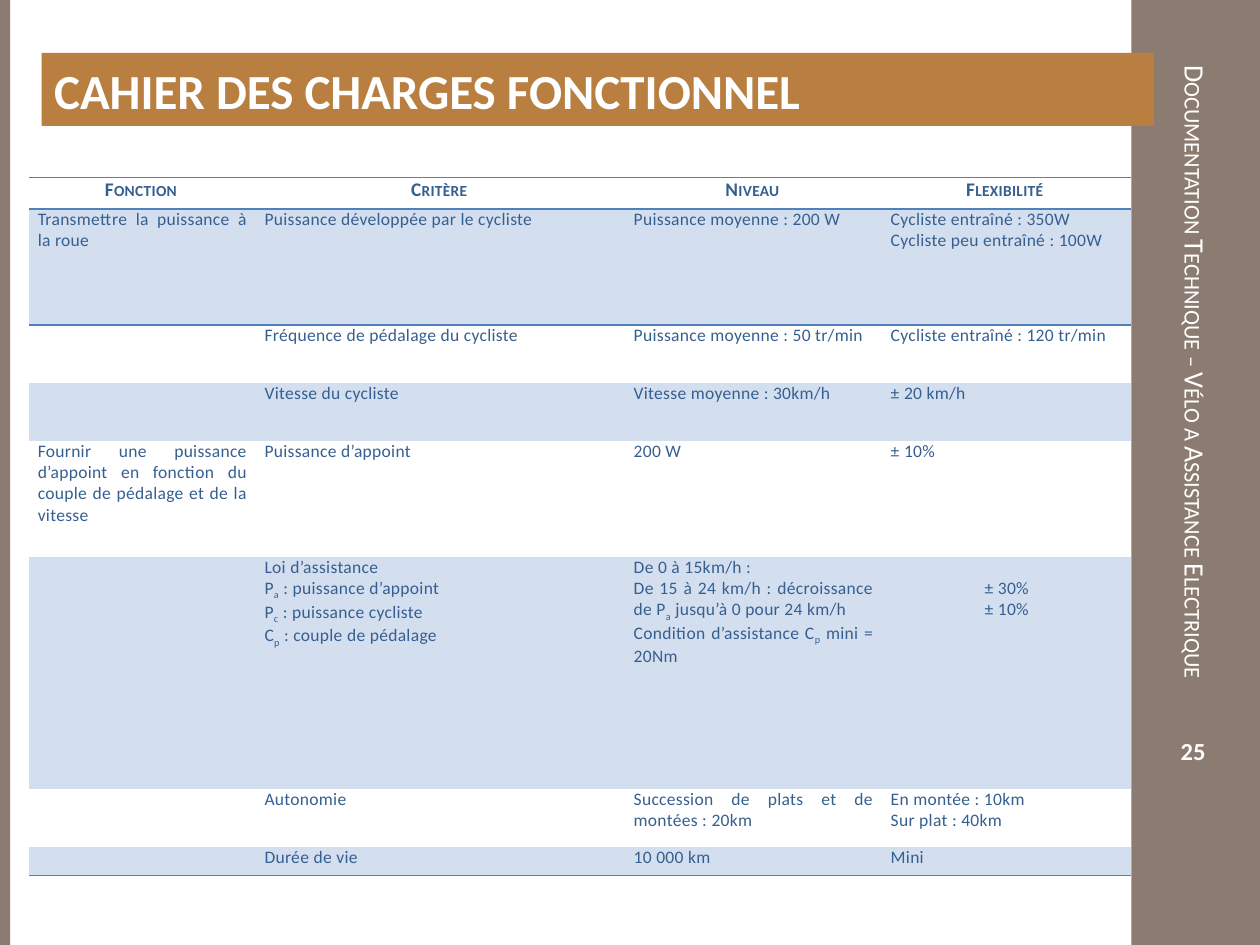
from dataclasses import dataclass

from lxml.etree import SubElement
from pptx import Presentation
from pptx.dml.color import RGBColor
from pptx.enum.shapes import MSO_SHAPE
from pptx.enum.text import MSO_ANCHOR, MSO_AUTO_SIZE, PP_ALIGN
from pptx.oxml import parse_xml
from pptx.oxml.ns import nsdecls, qn
from pptx.slide import Slide
from pptx.table import _Cell
from pptx.text.text import TextFrame, _Paragraph
from pptx.util import Inches, Pt

WHITE = RGBColor(0xFF, 0xFF, 0xFF)
TAUPE = RGBColor(0x8C, 0x7B, 0x70)
OCHRE = RGBColor(0xB8, 0x7F, 0x40)
NAVY = RGBColor(0x36, 0x5F, 0x91)
PALE_BLUE = RGBColor(0xD3, 0xDF, 0xEE)
RULE_BLUE = RGBColor(0x4F, 0x81, 0xBD)

FONT = "Calibri"
WIDTH, HEIGHT = 10, 7.5
BAND_LEFT = 8.98
ROW_UNIT = 0.23
HEADER_HEIGHT = 0.25
LINE_HEIGHT = 0.17
COLUMN_WIDTHS = (1.8, 2.93, 2.04, 1.98)
PLAIN_TABLE_STYLE = "{2D5ABB26-0587-4C30-8999-92F81FD0307C}"


@dataclass(frozen=True)
class Box:
    left: float
    top: float
    width: float
    height: float

    def emu(self) -> tuple[int, ...]:
        return tuple(Inches(n) for n in (self.left, self.top, self.width, self.height))


@dataclass(frozen=True)
class TextStyle:
    size: float
    color: RGBColor
    bold: bool = False
    small_caps: bool = False
    spacing: float = 0
    align: PP_ALIGN = PP_ALIGN.LEFT


@dataclass(frozen=True)
class CellText:
    """Lines of a cell; text between underscores is set as a subscript."""
    lines: tuple[str, ...] = ()
    align: PP_ALIGN = PP_ALIGN.JUSTIFY
    skipped_lines: int = 0


@dataclass(frozen=True)
class Requirement:
    units: int
    cells: tuple[CellText, ...]


def lines(*texts: str) -> CellText:
    return CellText(texts)


EMPTY = CellText()
HEADINGS = ("Fonction", "Critère", "Niveau", "Flexibilité")
REQUIREMENTS = (
    Requirement(4, (
        lines("Transmettre la puissance à la roue"),
        lines("Puissance développée par le cycliste"),
        lines("Puissance moyenne : 200 W"),
        lines("Cycliste entraîné : 350W", "Cycliste peu entraîné : 100W"))),
    Requirement(2, (
        EMPTY,
        lines("Fréquence de pédalage du cycliste"),
        lines("Puissance moyenne : 50 tr/min"),
        lines("Cycliste entraîné : 120 tr/min"))),
    Requirement(2, (
        EMPTY,
        lines("Vitesse du cycliste"),
        lines("Vitesse moyenne : 30km/h"),
        lines("± 20 km/h"))),
    Requirement(4, (
        lines("Fournir une puissance d’appoint en fonction du couple de pédalage "
              "et de la vitesse"),
        lines("Puissance d’appoint"),
        lines("200 W"),
        lines("± 10%"))),
    Requirement(8, (
        EMPTY,
        lines("Loi d’assistance", "P_a_ : puissance d’appoint",
              "P_c_ : puissance cycliste", "C_p_ : couple de pédalage"),
        lines("De 0 à 15km/h :",
              "De 15 à 24 km/h : décroissance de P_a_ jusqu’à 0 pour 24 km/h",
              "Condition d’assistance C_p_ mini = 20Nm"),
        CellText(("± 30%", "± 10%"), PP_ALIGN.CENTER, skipped_lines=1))),
    Requirement(2, (
        EMPTY,
        lines("Autonomie"),
        lines("Succession de plats et de montées : 20km"),
        lines("En montée : 10km", "Sur plat : 40km"))),
    Requirement(1, (
        EMPTY,
        lines("Durée de vie"),
        lines("10 000 km"),
        lines("Mini"))),
)


def write_paragraph(para: _Paragraph, text: str, style: TextStyle) -> None:
    for index, part in enumerate(text.split("_")):
        span = para.add_run()
        span.text = part
        if index % 2:
            span._r.get_or_add_rPr().set("baseline", "-25000")
    para.alignment = style.align
    font = para.font
    font.name, font.size, font.bold = FONT, Pt(style.size), style.bold
    font.color.rgb = style.color
    if style.small_caps:
        font._element.set("cap", "small")
    if style.spacing:
        font._element.set("spc", str(round(style.spacing * 100)))


def write_lines(frame: TextFrame, texts: tuple[str, ...], style: TextStyle) -> None:
    for index, text in enumerate(texts):
        para = frame.add_paragraph() if index else frame.paragraphs[0]
        write_paragraph(para, text, style)


def add_band(page: Slide, box: Box) -> None:
    band = page.shapes.add_shape(MSO_SHAPE.RECTANGLE, *box.emu())
    band.shadow.inherit = False
    band.fill.solid()
    band.fill.fore_color.rgb = TAUPE
    band.line.fill.background()


def add_label(page: Slide, box: Box, text: str, style: TextStyle,
              vertical: bool = False) -> None:
    frame = page.shapes.add_textbox(*box.emu()).text_frame
    frame.word_wrap = True
    frame.vertical_anchor = MSO_ANCHOR.MIDDLE
    if vertical:
        frame._txBody.bodyPr.set("vert", "vert")
    write_paragraph(frame.paragraphs[0], text, style)


def set_title(page: Slide, box: Box, text: str, style: TextStyle) -> None:
    title = page.shapes.title
    title.left, title.top, title.width, title.height = box.emu()
    title.fill.solid()
    title.fill.fore_color.rgb = OCHRE
    frame = title.text_frame
    frame.word_wrap = True
    frame.auto_size = MSO_AUTO_SIZE.NONE
    frame.vertical_anchor = MSO_ANCHOR.MIDDLE
    write_paragraph(frame.paragraphs[0], text, style)
    page.shapes._spTree.append(title._element)  # in front of the side band


def add_rule(cell: _Cell, tag: str) -> None:
    cell._tc.get_or_add_tcPr().insert(0, parse_xml(
        f'<a:{tag} {nsdecls("a")} w="{Pt(1)}"><a:solidFill>'
        f'<a:srgbClr val="{RULE_BLUE}"/></a:solidFill></a:{tag}>'))


def fill_cell(cell: _Cell, content: CellText, style: TextStyle, shaded: bool) -> None:
    cell.margin_left = cell.margin_right = Inches(0.07)
    cell.margin_top = Inches(content.skipped_lines * LINE_HEIGHT)
    cell.margin_bottom = 0
    if shaded:
        cell.fill.solid()
        cell.fill.fore_color.rgb = PALE_BLUE
    else:
        cell.fill.background()
    write_lines(cell.text_frame, content.lines, style)
    if not content.lines:  # keeps an empty cell from stretching its row
        end = SubElement(cell.text_frame.paragraphs[0]._p, qn("a:endParaRPr"))
        end.set("sz", str(style.size * 100))


def add_requirements(page: Slide, left: float, top: float) -> None:
    heights = [HEADER_HEIGHT] + [item.units * ROW_UNIT for item in REQUIREMENTS]
    box = Box(left, top, sum(COLUMN_WIDTHS), sum(heights))
    table = page.shapes.add_table(len(heights), len(COLUMN_WIDTHS), *box.emu()).table
    table.horz_banding = False
    table._tbl.tblPr.find(qn("a:tableStyleId")).text = PLAIN_TABLE_STYLE
    for column, width in zip(table.columns, COLUMN_WIDTHS):
        column.width = Inches(width)
    for row, height in zip(table.rows, heights):
        row.height = Inches(height)

    heading = TextStyle(11, NAVY, True, True, 0.2, PP_ALIGN.CENTER)
    for column, text in enumerate(HEADINGS):
        fill_cell(table.cell(0, column), lines(text), heading, False)
    for row, item in enumerate(REQUIREMENTS, 1):
        for column, content in enumerate(item.cells):
            style = TextStyle(10, NAVY, spacing=0.2, align=content.align)
            fill_cell(table.cell(row, column), content, style, row % 2 == 1)

    last = len(REQUIREMENTS)
    for row, tag in ((0, "lnB"), (0, "lnT"), (1, "lnT"), (last, "lnB")):
        for column in range(len(COLUMN_WIDTHS)):
            add_rule(table.cell(row, column), tag)


def main() -> None:
    deck = Presentation()
    deck.slide_width, deck.slide_height = Inches(WIDTH), Inches(HEIGHT)
    page = deck.slides.add_slide(deck.slide_layouts[5])
    band_width = WIDTH - BAND_LEFT
    add_band(page, Box(BAND_LEFT, 0, band_width, HEIGHT))
    add_band(page, Box(0, 0, 0.08, HEIGHT))
    add_label(page, Box(BAND_LEFT, 0.42, band_width, 6.42),
              "Documentation Technique – Vélo a Assistance Electrique",
              TextStyle(16, WHITE, small_caps=True), vertical=True)
    add_requirements(page, 0.23, 1.41)
    add_label(page, Box(8.94, 5.8, 1.06, 0.31), "25",
              TextStyle(14, WHITE, True, align=PP_ALIGN.CENTER))
    set_title(page, Box(0.33, 0.42, 8.83, 0.58), "CAHIER DES CHARGES FONCTIONNEL",
              TextStyle(28, WHITE, True))
    deck.save("out.pptx")


if __name__ == "__main__":
    main()
